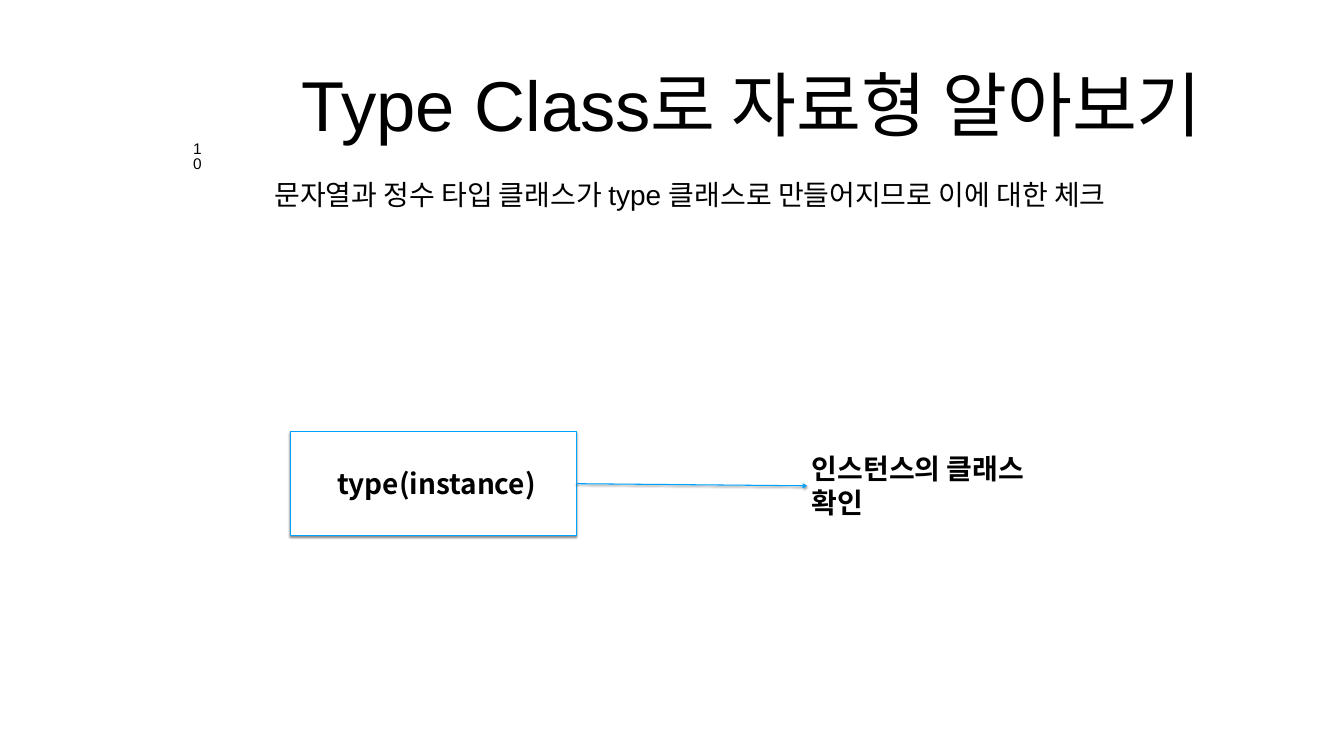
from lxml.etree import SubElement
from pptx import Presentation
from pptx.dml.color import RGBColor
from pptx.enum.shapes import MSO_CONNECTOR as Connector, MSO_SHAPE as Shape
from pptx.enum.text import MSO_ANCHOR as Anchor, MSO_AUTO_SIZE as AutoSize, PP_ALIGN as Align
from pptx.oxml.ns import qn
from pptx.util import Pt

BLACK = RGBColor(0x00, 0x00, 0x00)
WHITE = RGBColor(0xFF, 0xFF, 0xFF)
BLUE = RGBColor(0x00, 0xA2, 0xFF)
SANS = "Arial"
HANGUL = "Noto Sans CJK KR"
EMU_PER_PX = 12700


def px(length):
    return length * EMU_PER_PX


def write(shape, text, size, font=SANS, bold=False, align=Align.LEFT,
          anchor=Anchor.TOP, inset=6, wrap=True):
    frame = shape.text_frame
    frame.word_wrap = wrap
    frame.vertical_anchor = anchor
    frame.margin_left = frame.margin_right = px(inset)
    frame.margin_top = frame.margin_bottom = px(inset)
    paragraph = frame.paragraphs[0]
    paragraph.text = text
    paragraph.alignment = align
    paragraph.font.size = Pt(size)
    paragraph.font.bold = bold
    paragraph.font.color.rgb = BLACK
    paragraph.font.name = font
    defaults = paragraph._p.get_or_add_pPr().find(qn("a:defRPr"))
    SubElement(defaults, qn("a:ea"), typeface=HANGUL)
    return paragraph


def add_text(slide, bounds, text, size, **style):
    box = slide.shapes.add_textbox(*map(px, bounds))
    return box, write(box, text, size, **style)


def add_shadow(properties):
    effects = SubElement(properties, qn("a:effectLst"))
    shadow = SubElement(effects, qn("a:outerShdw"), blurRad=str(Pt(3)), dist=str(Pt(2.4)),
                        dir="5400000", rotWithShape="0")
    color = SubElement(shadow, qn("a:srgbClr"), val=str(BLACK))
    SubElement(color, qn("a:alpha"), val="45000")


def outline(shape):
    shape.line.color.rgb = BLUE
    shape.line.width = Pt(1.5)


def add_call_box(slide, bounds, text):
    box = slide.shapes.add_shape(Shape.RECTANGLE, *map(px, bounds))
    box.fill.solid()
    box.fill.fore_color.rgb = WHITE
    outline(box)
    add_shadow(box._element.spPr)
    write(box, text, 40, font=HANGUL, bold=True, align=Align.CENTER,
          anchor=Anchor.MIDDLE, inset=7)
    return box


def add_arrow(slide, source, target):
    arrow = slide.shapes.add_connector(Connector.STRAIGHT, 0, 0, 0, 0)
    arrow.begin_connect(source, 3)
    arrow.end_connect(target, 1)
    outline(arrow)
    SubElement(arrow.line._get_or_add_ln(), qn("a:tailEnd"), type="arrow")
    add_shadow(arrow._element.spPr)


def main():
    """Build the slide on checking a type with the type class."""
    deck = Presentation()
    deck.slide_width, deck.slide_height = px(1920), px(1080)
    slide = deck.slides.add_slide(deck.slide_layouts[6])

    add_text(slide, (346, 28, 1479, 239), "Type Class로 자료형 알아보기 ", 100.8,
             align=Align.CENTER, anchor=Anchor.MIDDLE)
    _, summary = add_text(
        slide, (314, 248, 1545, 292),
        "문자열과 정수 타입 클래스가 type 클래스로 만들어지므로 이에 대한 체크", 40)
    summary.space_before = Pt(10)
    summary._p.get_or_add_pPr().set("indent", str(px(72)))
    page_box, page_number = add_text(slide, (264, 198, 36, 32), "10", 22,
                                     align=Align.CENTER, wrap=False)
    page_box.text_frame.auto_size = AutoSize.SHAPE_TO_FIT_TEXT
    page_number.line_spacing = 0.8

    call = add_call_box(slide, (415, 617, 408, 148), " type(instance)")
    result, _ = add_text(slide, (1153, 638, 397, 112), "인스턴스의 클래스 확인", 40,
                         font=HANGUL, bold=True, inset=7)
    result.text_frame.auto_size = AutoSize.SHAPE_TO_FIT_TEXT
    add_arrow(slide, call, result)

    deck.save("out.pptx")


if __name__ == "__main__":
    main()
